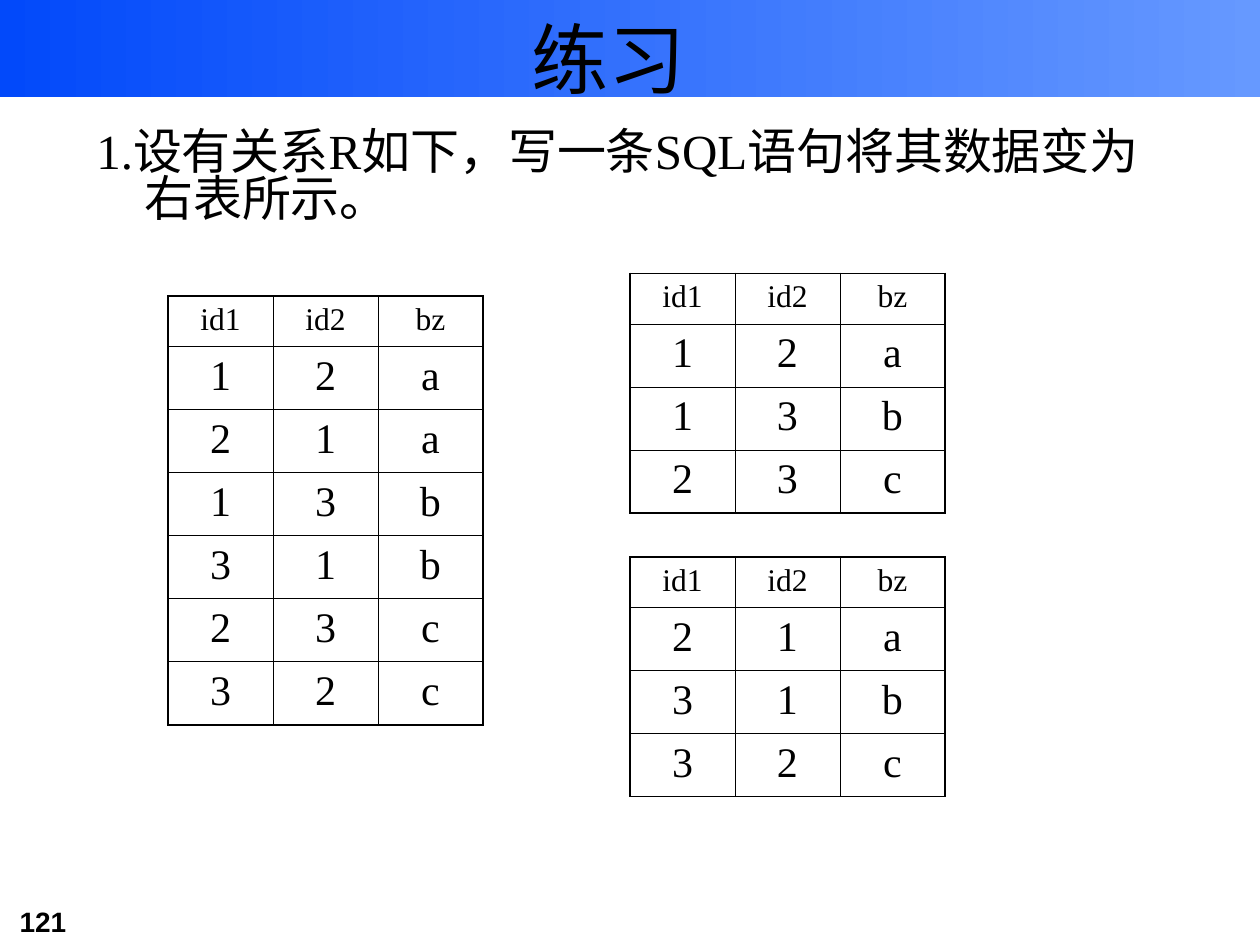
"""Build an SQL exercise slide with one source relation and two result tables."""
from lxml.etree import SubElement
from pptx import Presentation
from pptx.dml.color import RGBColor
from pptx.enum.shapes import MSO_SHAPE as Shape
from pptx.enum.text import MSO_ANCHOR as Anchor, MSO_AUTO_SIZE as AutoSize, PP_ALIGN as Align
from pptx.oxml.ns import qn
from pptx.util import Inches, Pt

BLACK = RGBColor(0x00, 0x00, 0x00)
BAND_LEFT = RGBColor(0x02, 0x49, 0xFA)
BAND_RIGHT = RGBColor(0x66, 0x99, 0xFF)
SERIF = "Times New Roman"
THIN, THICK = Pt(0.45), Pt(1.08)

deck = Presentation()
deck.slide_width, deck.slide_height = Inches(10), Inches(7.5)
COLUMN, ROW = deck.slide_width / 12, deck.slide_height / 15
HEADER = 0.8
page = deck.slides.add_slide(deck.slide_layouts[5])


def area(left, top, width, height):
    return [round(size) for size in (left * COLUMN, top * ROW, width * COLUMN, height * ROW)]


def write(frame, text, size, font=SERIF, bold=False, **layout):
    para = frame.paragraphs[0]
    for name, value in layout.items():
        setattr(para, name, value)
    span = para.add_run()
    span.text = text
    for name, value in {"size": Pt(size), "name": font, "bold": bold}.items():
        setattr(span.font, name, value)
    span.font.color.rgb = BLACK
    return para


title = page.shapes.title
title.left, title.top, title.width, title.height = area(0.7, 0, 10.2, 1.84)
title.text_frame.auto_size = AutoSize.NONE
title.text_frame.vertical_anchor = Anchor.MIDDLE
write(title.text_frame, "练习", 44, alignment=Align.CENTER)

band = page.shapes.add_shape(Shape.RECTANGLE, *area(0, 0, 12, 1.54))
band.shadow.inherit = False
band.line.fill.background()
band.fill.gradient()
band.fill.gradient_angle = 0
for stop, color, position in zip(band.fill.gradient_stops, (BAND_LEFT, BAND_RIGHT), (0, 1)):
    stop.color.rgb = color
    stop.position = position
title.element.addprevious(band.element)

question = page.shapes.add_textbox(*area(0.8, 2, 10.3, 1.84))
question.text_frame.word_wrap = True
para = write(question.text_frame, "1.设有关系R如下，写一条SQL语句将其数据变为右表所示。", 28,
             line_spacing=0.8, space_before=Pt(7))
indent = para._p.get_or_add_pPr()
indent.set("marL", str(Inches(0.38)))
indent.set("indent", str(-Inches(0.38)))

number = page.shapes.add_textbox(*area(0.07, 14.26, 1.46, 0.74))
number.text_frame.word_wrap = True
write(number.text_frame, "121", 16, "Arial", True, space_before=Pt(10))

relations = [
    (1.6, 4.7, ["12a", "21a", "13b", "31b", "23c", "32c"]),
    (6, 4.34, ["12a", "13b", "23c"]),
    (6, 8.84, ["21a", "31b", "32c"]),
]
for left, top, records in relations:
    rows = [("id1", "id2", "bz"), *records]
    last = len(rows) - 1
    place = area(left, top, 3, HEADER + last)
    table = page.shapes.add_table(len(rows), 3, *place).table
    for column in table.columns:
        column.width = round(COLUMN)
    for r, values in enumerate(rows):
        table.rows[r].height = round(ROW * (1 if r else HEADER))
        for c, value in enumerate(values):
            cell = table.cell(r, c)
            write(cell.text_frame, value, 24 if r else 18, alignment=Align.CENTER,
                  space_before=Pt(6 if r else 4.5))
            borders = cell._tc.get_or_add_tcPr()
            outer = {"lnL": c == 0, "lnR": c == 2, "lnT": r == 0, "lnB": r == last}
            for side, thick in outer.items():
                line = SubElement(borders, qn(f"a:{side}"), w=str(THICK if thick else THIN))
                fill = SubElement(line, qn("a:solidFill"))
                SubElement(fill, qn("a:srgbClr"), val=str(BLACK))
            cell.fill.background()

deck.save("out.pptx")
